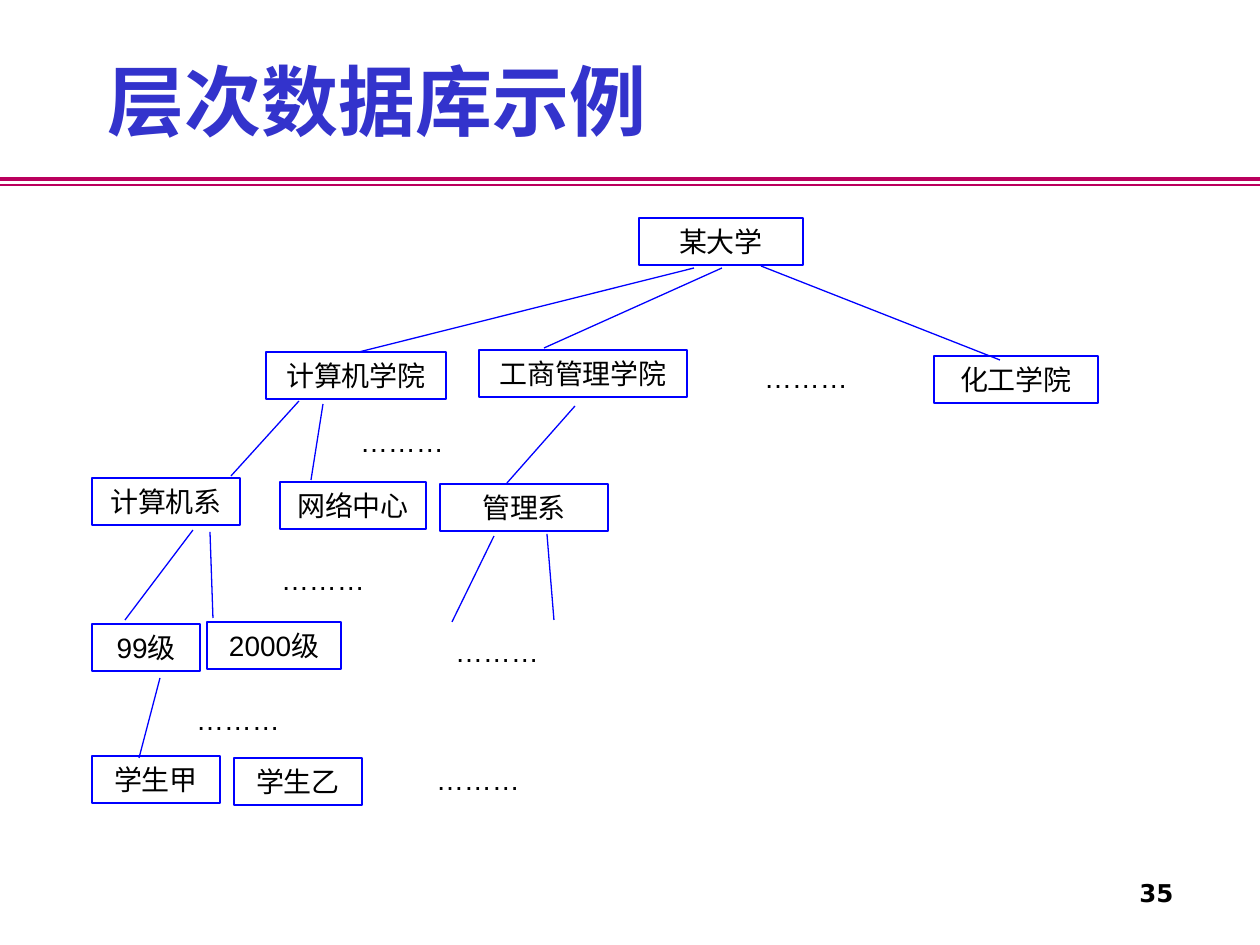
from lxml.etree import SubElement
from pptx import Presentation
from pptx.dml.color import RGBColor
from pptx.enum.shapes import MSO_CONNECTOR, MSO_SHAPE
from pptx.enum.text import MSO_ANCHOR, PP_ALIGN
from pptx.oxml.ns import qn
from pptx.util import Emu, Pt

PX = 914400 / 126
MAGENTA = RGBColor(0xBA, 0x00, 0x5D)
INDIGO = RGBColor(0x33, 0x33, 0xCC)
BLUE = RGBColor(0x00, 0x00, 0xFF)
BLACK = RGBColor(0x00, 0x00, 0x00)
BOX_HEIGHT = 47
DOTS_WIDTH = 164

deck = Presentation()
deck.slide_width = Emu(round(1260 * PX))
deck.slide_height = Emu(round(945 * PX))
page = deck.slides.add_slide(deck.slide_layouts[6])


def add_line(points, color, width):
    line = page.shapes.add_connector(
        MSO_CONNECTOR.STRAIGHT, *[Emu(round(value * PX)) for value in points])
    line.line.color.rgb = color
    line.line.width = Pt(width)
    SubElement(line.element.spPr, qn("a:effectLst"))


def add_label(text, bounds, size, font, color, align, bold=False, outlined=False):
    lengths = [Emu(round(value * PX)) for value in bounds]
    if outlined:
        box = page.shapes.add_shape(MSO_SHAPE.RECTANGLE, *lengths)
        box.shadow.inherit = False
        box.fill.background()
        box.line.color.rgb = BLUE
        box.line.width = Pt(0.75)
    else:
        box = page.shapes.add_textbox(*lengths)
    frame = box.text_frame
    frame.word_wrap = True
    frame.vertical_anchor = MSO_ANCHOR.TOP
    para = frame.paragraphs[0]
    para.alignment = align
    span = para.add_run()
    span.text = text
    span.font.size = Pt(size)
    span.font.name = font
    span.font.bold = bold
    span.font.color.rgb = color
    return frame


add_line((0, 179, 1260, 179), MAGENTA, 2.25)
add_line((0, 185, 1260, 185), MAGENTA, 1)

title = add_label("层次数据库示例", (95, 21, 1071, 158), 44, "DejaVu Sans",
                  INDIGO, PP_ALIGN.LEFT, bold=True)
title.vertical_anchor = MSO_ANCHOR.MIDDLE

nodes = [
    ("某大学", 639, 218, 164),
    ("计算机学院", 266, 352, 180),
    ("工商管理学院", 479, 350, 208),
    ("化工学院", 934, 356, 164),
    ("计算机系", 92, 478, 148),
    ("网络中心", 280, 482, 146),
    ("管理系", 440, 484, 168),
    ("99级", 92, 624, 108),
    ("2000级", 207, 622, 134),
    ("学生甲", 92, 756, 128),
    ("学生乙", 234, 758, 128),
]
for name, left, top, width in nodes:
    add_label(name, (left, top, width, BOX_HEIGHT), 16, "Arial", BLACK,
              PP_ALIGN.CENTER, outlined=True)

dots = [(724, 354), (320, 418), (241, 556), (415, 628), (396, 756), (156, 696)]
for left, top in dots:
    add_label("………", (left, top, DOTS_WIDTH, BOX_HEIGHT), 16, "Arial", BLACK,
              PP_ALIGN.CENTER)

branches = [
    (694, 268, 359, 352),
    (722, 268, 544, 348),
    (761, 266, 1000, 360),
    (299, 401, 231, 476),
    (323, 404, 311, 480),
    (575, 406, 507, 483),
    (193, 530, 125, 620),
    (210, 532, 213, 618),
    (494, 536, 452, 622),
    (547, 534, 554, 620),
    (160, 678, 139, 758),
]
for branch in branches:
    add_line(branch, BLUE, 0.75)

number = add_label("35", (1113, 872, 73, 42), 14, "DejaVu Sans", BLACK,
                   PP_ALIGN.RIGHT, bold=True)
number.word_wrap = False
number.vertical_anchor = MSO_ANCHOR.MIDDLE

deck.save("out.pptx")
